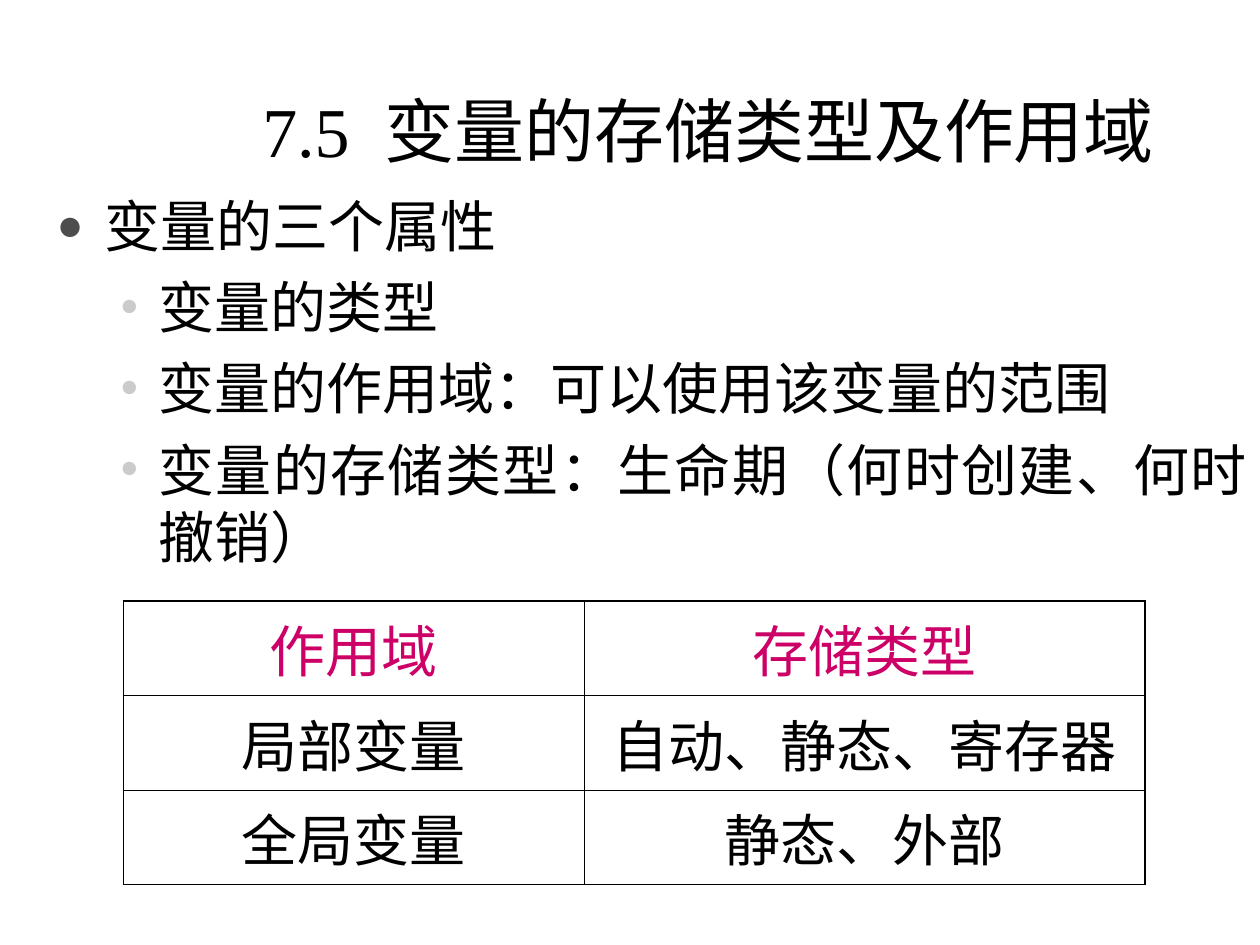
from dataclasses import dataclass

from lxml import etree
from pptx import Presentation
from pptx.dml.color import RGBColor
from pptx.enum.text import MSO_ANCHOR, PP_ALIGN
from pptx.oxml.ns import qn
from pptx.util import Inches, Pt

CENTER, JUSTIFY = PP_ALIGN.CENTER, PP_ALIGN.JUSTIFY
TOP, MIDDLE = MSO_ANCHOR.TOP, MSO_ANCHOR.MIDDLE


@dataclass(frozen=True)
class Theme:
    """Colours, type sizes and line weights of the slide."""
    font: str = "Times New Roman"
    ink: str = "000000"
    accent: str = "CC0066"
    title_size: int = 40
    text_size: int = 32
    gap_before: int = 8
    outer_line: float = 1.08
    inner_line: float = 0.45


@dataclass(frozen=True)
class Level:
    """Bullet and indents of one outline level, in inches."""
    bullet: str
    color: str
    percent: int
    margin: float
    hanging: float


THEME = Theme()
LEVELS = (
    Level("●", "4D4D4D", 80, 0.38, 0.38),
    Level("•", "CBCBCB", 100, 0.81, 0.31),
)
ATTRIBUTES = (
    (0, "变量的三个属性"),
    (1, "变量的类型"),
    (1, "变量的作用域：可以使用该变量的范围"),
    (1, "变量的存储类型：生命期（何时创建、何时撤销）"),
)
SCOPES = (
    ("作用域", "存储类型"),
    ("局部变量", "自动、静态、寄存器"),
    ("全局变量", "静态、外部"),
)


def apply(target, formats):
    """Set every attribute in formats on target."""
    for name, value in formats.items():
        setattr(target, name, value)


def add_text(paragraph, text, size, color=THEME.ink):
    """Append a styled run to the paragraph and return it."""
    run = paragraph.add_run()
    run.text = text
    apply(run.font, {"name": THEME.font, "size": Pt(size), "bold": False})
    run.font.color.rgb = RGBColor.from_string(color)
    return run


def add_frame(slide, box, anchor, inset_x, inset_y):
    """Add a wrapping text box and return its text frame."""
    frame = slide.shapes.add_textbox(*map(Inches, box)).text_frame
    apply(frame, {
        "word_wrap": True, "vertical_anchor": anchor,
        "margin_left": Inches(inset_x), "margin_right": Inches(inset_x),
        "margin_top": Inches(inset_y), "margin_bottom": Inches(inset_y),
    })
    return frame


def add_bullet(paragraph, level):
    """Give the paragraph the bullet and hanging indent of its level."""
    properties = paragraph._p.get_or_add_pPr()
    properties.set("marL", str(Inches(level.margin)))
    properties.set("indent", str(-Inches(level.hanging)))
    color = etree.SubElement(properties, qn("a:buClr"))
    etree.SubElement(color, qn("a:srgbClr"), val=level.color)
    etree.SubElement(properties, qn("a:buSzPct"), val=str(level.percent * 1000))
    etree.SubElement(properties, qn("a:buFont"), typeface=THEME.font)
    etree.SubElement(properties, qn("a:buChar"), char=level.bullet)


def add_border(cell, side, width):
    """Draw one side of the cell."""
    line = etree.Element(qn(f"a:ln{side}"), w=str(Pt(width)))
    fill = etree.SubElement(line, qn("a:solidFill"))
    etree.SubElement(fill, qn("a:srgbClr"), val=THEME.ink)
    cell._tc.get_or_add_tcPr().append(line)


def add_title(slide, box):
    """Place the section number and heading."""
    heading = add_frame(slide, box, MIDDLE, 0, 0).paragraphs[0]
    heading.alignment = CENTER
    add_text(heading, "7.5", THEME.title_size)
    gap = add_text(heading, " ", THEME.title_size)
    gap.font._element.set("spc", "1000")
    add_text(heading, "变量的存储类型及作用域", THEME.title_size)


def add_outline(slide, box):
    """Place the bulleted outline of variable attributes."""
    frame = add_frame(slide, box, TOP, 0.1, 0.05)
    for index, (depth, text) in enumerate(ATTRIBUTES):
        paragraph = frame.add_paragraph() if index else frame.paragraphs[0]
        add_bullet(paragraph, LEVELS[depth])
        apply(paragraph, {
            "level": depth, "alignment": JUSTIFY,
            "space_before": Pt(THEME.gap_before if index else 0),
        })
        add_text(paragraph, text, THEME.text_size)


def add_scope_table(slide, box, column_widths, row_height):
    """Place the table of scopes and storage classes."""
    rows, columns = len(SCOPES), len(column_widths)
    table = slide.shapes.add_table(rows, columns, *map(Inches, box)).table
    apply(table, {"first_row": False, "horz_banding": False})
    for column, width in zip(table.columns, column_widths):
        column.width = Inches(width)
    for r, texts in enumerate(SCOPES):
        table.rows[r].height = Inches(row_height)
        for c, text in enumerate(texts):
            cell = table.cell(r, c)
            cell.vertical_anchor = MIDDLE
            outer_sides = {"L": c == 0, "R": c == columns - 1,
                           "T": r == 0, "B": r == rows - 1}
            for side, outer in outer_sides.items():
                add_border(cell, side, THEME.outer_line if outer else THEME.inner_line)
            cell.fill.background()
            paragraph = cell.text_frame.paragraphs[0]
            paragraph.alignment = CENTER
            add_text(paragraph, text, THEME.text_size, THEME.ink if r else THEME.accent)


def main():
    """Build and save the slide."""
    deck = Presentation()
    apply(deck, {"slide_width": Inches(10), "slide_height": Inches(7.5)})
    slide = deck.slides.add_slide(deck.slide_layouts[6])
    add_title(slide, (1.37, 0.67, 8.5, 0.72))
    add_outline(slide, (0.35, 1.47, 9.65, 3.07))
    add_scope_table(slide, (0.98, 4.77, 8.11, 2.25), (3.66, 4.45), 0.75)
    deck.save("out.pptx")


if __name__ == "__main__":
    main()
